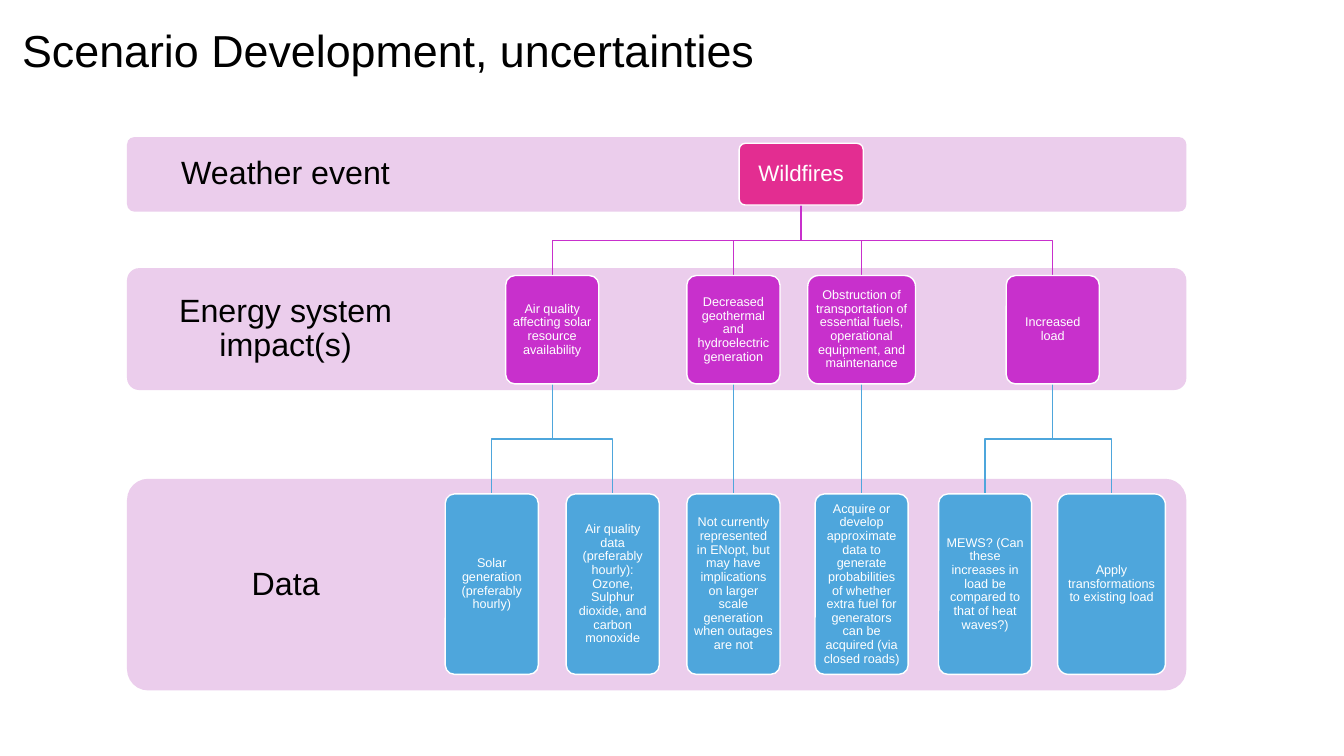
from pptx import Presentation
from pptx.dml.color import RGBColor
from pptx.enum.shapes import MSO_CONNECTOR, MSO_SHAPE
from pptx.enum.text import MSO_ANCHOR, PP_ALIGN
from pptx.util import Pt
from lxml import etree

ROUND = MSO_SHAPE.ROUNDED_RECTANGLE
STRAIGHT = MSO_CONNECTOR.STRAIGHT
MIDDLE = MSO_ANCHOR.MIDDLE
CENTER, LEFT = PP_ALIGN.CENTER, PP_ALIGN.LEFT
A_NS = "http://schemas.openxmlformats.org/drawingml/2006/main"

COLORS = {"band": "EBCDEC", "event": "E32D91", "impact": "C830CC",
          "data": "4EA6DC", "white": "FFFFFF", "black": "000000"}

TITLE = "Scenario Development, uncertainties"
BANDS = [("Weather event", 97.9, 53.3),
         ("Energy system impact(s)", 191.5, 87.1),
         ("Data", 342, 151.2)]
BAND_LEFT, BAND_WIDTH, LABEL_WIDTH, LABEL_INSET = 90.7, 756.7, 226.8, 13

LEVELS = {"event": {"top": 102.4, "height": 44.1, "size": 16, "inset": 5},
          "impact": {"top": 196.8, "height": 77.4, "size": 9, "inset": 2.9},
          "data": {"top": 352.8, "height": 128.9, "size": 9, "inset": 2.9}}
NARROW, WIDE, EVENT_WIDTH = 66.5, 77, 88.6

EVENT = ("Wildfires", 572.3, EVENT_WIDTH)
IMPACTS = [
    (("Air quality affecting solar resource availability", 394.5, NARROW), [
        ("Solar generation (preferably hourly)", 351.3, NARROW),
        ("Air quality data (preferably hourly): Ozone, Sulphur dioxide, "
         "and carbon monoxide", 437.7, NARROW)]),
    (("Decreased geothermal and hydroelectric generation", 523.9, NARROW), [
        ("Not currently represented in ENopt, but may have implications on "
         "larger scale generation when outages are not", 523.9, NARROW)]),
    (("Obstruction of transportation of essential fuels, operational "
      "equipment, and maintenance", 615.5, WIDE), [
        ("Acquire or develop approximate data to generate probabilities of "
         "whether extra fuel for generators can be acquired "
         "(via closed roads)", 615.5, NARROW)]),
    (("Increased load", 752, NARROW), [
        ("MEWS? (Can these increases in load be compared to that of heat "
         "waves?)", 703.7, NARROW),
        ("Apply transformations to existing load", 794, WIDE)]),
]


def color(name):
    return RGBColor.from_string(COLORS[name])


def set_text(sp, text, size, name, align, **frame):
    tf = sp.text_frame
    for key, value in {"word_wrap": True, "vertical_anchor": MIDDLE, **frame}.items():
        setattr(tf, key, value)
    p = tf.paragraphs[0]
    p.alignment, p.line_spacing = align, 0.9
    r = p.add_run()
    r.text = text
    for key, value in {"name": "Arial", "size": Pt(size)}.items():
        setattr(r.font, key, value)
    r.font.color.rgb = color(name)


def insets(size, **other):
    sides = ("left", "top", "right", "bottom")
    return {f"margin_{side}": Pt(other.get(side, size)) for side in sides}


def add_round(left, top, width, height, fill, line=None):
    sp = slide.shapes.add_shape(ROUND, Pt(left), Pt(top), Pt(width), Pt(height))
    sp.adjustments[0] = 0.1
    sp.shadow.inherit = False
    sp.fill.solid()
    sp.fill.fore_color.rgb = color(fill)
    if line:
        sp.line.color.rgb = color(line)
        sp.line.width = Pt(1)
    else:
        sp.line.fill.background()
    return sp


def add_box(level, box):
    text, center, width = box
    row = LEVELS[level]
    sp = add_round(center - width / 2, row["top"], width, row["height"], level, "white")
    set_text(sp, text, row["size"], "white", CENTER, **insets(row["inset"]))


def add_link(parent_level, parent, level, child):
    x1, x2 = parent[1], child[1]
    y1 = LEVELS[parent_level]["top"] + LEVELS[parent_level]["height"]
    y2 = LEVELS[level]["top"]
    if x1 == x2:
        sp = slide.shapes.add_connector(STRAIGHT, Pt(x1), Pt(y1), Pt(x2), Pt(y2))
        etree.SubElement(sp._element.spPr, f"{{{A_NS}}}effectLst")
    else:
        mid = (y1 + y2) / 2
        path = slide.shapes.build_freeform(Pt(x1), Pt(y1))
        path.add_line_segments([(Pt(x1), Pt(mid)), (Pt(x2), Pt(mid)),
                                (Pt(x2), Pt(y2))], close=False)
        sp = path.convert_to_shape()
        sp.shadow.inherit = False
        sp.fill.background()
    sp.line.color.rgb = color(level)
    sp.line.width = Pt(1)


prs = Presentation()
prs.slide_width, prs.slide_height = Pt(960), Pt(540)
slide = prs.slides.add_slide(prs.slide_layouts[5])

title = slide.shapes.title
title.left, title.top, title.width, title.height = Pt(8.6), Pt(10.8), Pt(828), Pt(54)
set_text(title, TITLE, 32, "black", LEFT)

for text, top, height in BANDS:
    band = add_round(BAND_LEFT, top, BAND_WIDTH, height, "band")
    right = BAND_WIDTH - LABEL_WIDTH + LABEL_INSET
    set_text(band, text, 23, "black", CENTER, **insets(LABEL_INSET, right=right))

for impact, items in IMPACTS:
    add_link("event", EVENT, "impact", impact)
    for item in items:
        add_link("impact", impact, "data", item)

add_box("event", EVENT)
for impact, items in IMPACTS:
    add_box("impact", impact)
    for item in items:
        add_box("data", item)

prs.save("out.pptx")
